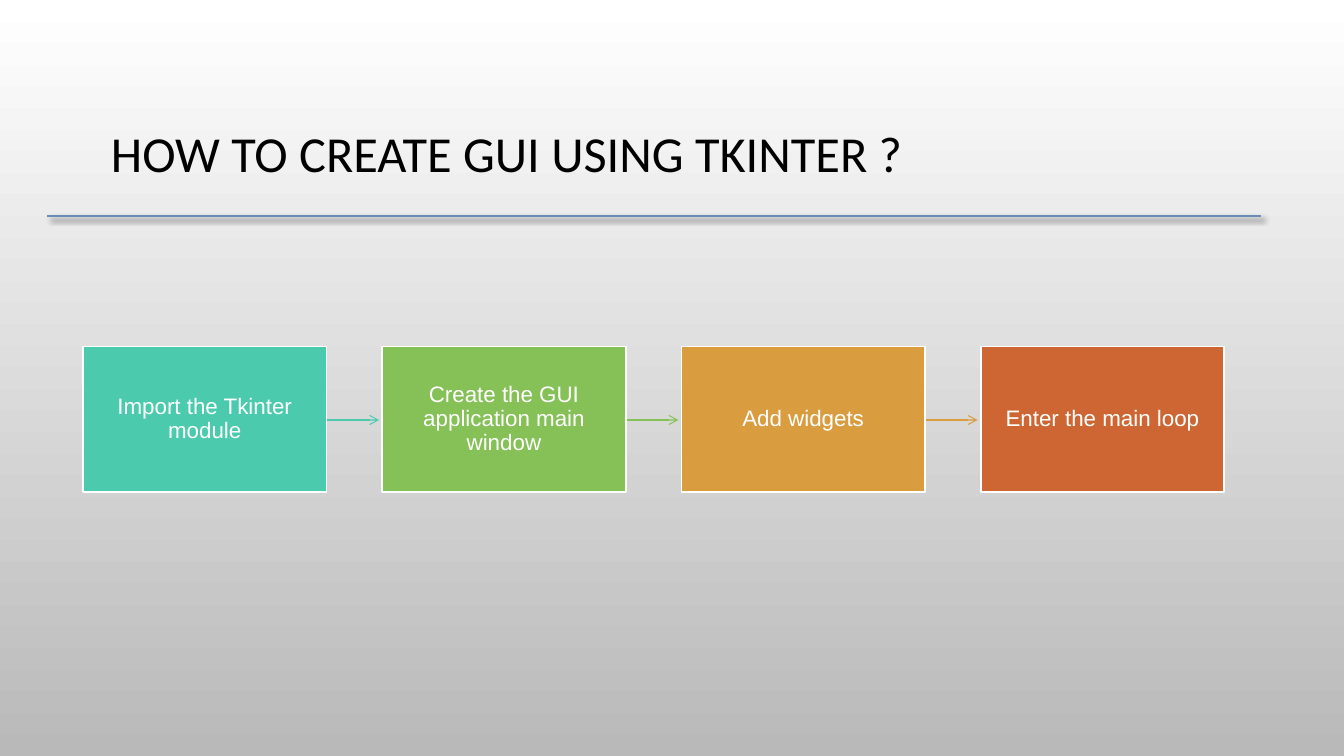
"""Build the slide that shows the four steps of a Tkinter GUI."""
import dataclasses

import lxml.etree
import pptx
import pptx.dml.color
import pptx.enum.shapes
import pptx.enum.text
import pptx.oxml.ns
import pptx.shapes.connector
import pptx.slide
import pptx.text.text
import pptx.util

SCALE = 9525
LEFT, TOP, WIDE, HIGH = 79, 330, 232, 139
PITCH = 285
REACH = 50
PAD = 12
WHITE = "FFFFFF"
BLACK = "000000"


@dataclasses.dataclass(frozen=True)
class Step:
    text: str
    hue: str


STEPS = [
    Step("Import the Tkinter module", "4BCAAD"),
    Step("Create the GUI application main window", "86C157"),
    Step("Add widgets", "D99C3F"),
    Step("Enter the main loop", "CE6633"),
]


def px(count: int) -> pptx.util.Emu:
    return pptx.util.Emu(count * SCALE)


def paint(code: str) -> pptx.dml.color.RGBColor:
    return pptx.dml.color.RGBColor.from_string(code)


def add_tag(host: lxml.etree._Element, name: str, **traits: str) -> lxml.etree._Element:
    return lxml.etree.SubElement(host, pptx.oxml.ns.qn(name), traits)


def add_shade(host: lxml.etree._Element) -> None:
    shade = add_tag(add_tag(host, "a:effectLst"), "a:outerShdw",
                    blurRad="50800", dist="38100", dir="2700000",
                    algn="tl", rotWithShape="0")
    tint = add_tag(shade, "a:srgbClr", val=BLACK)
    add_tag(tint, "a:alpha", val="40000")


def write(frame: pptx.text.text.TextFrame, text: str, face: str, size: int,
          hue: str, align: pptx.enum.text.PP_ALIGN) -> pptx.text.text._Run:
    frame.word_wrap = True
    frame.auto_size = pptx.enum.text.MSO_AUTO_SIZE.NONE
    frame.vertical_anchor = pptx.enum.text.MSO_ANCHOR.MIDDLE
    line = frame.paragraphs[0]
    line.alignment = align
    line.line_spacing = 0.9
    run = line.add_run()
    run.text = text
    run.font.name = face
    run.font.size = pptx.util.Pt(size)
    run.font.color.rgb = paint(hue)
    return run


def add_line(slide: pptx.slide.Slide, left: int, right: int, y: int,
             hue: str, width: float) -> pptx.shapes.connector.Connector:
    line = slide.shapes.add_connector(
        pptx.enum.shapes.MSO_CONNECTOR.STRAIGHT, px(left), px(y), px(right), px(y))
    line.line.color.rgb = paint(hue)
    line.line.width = pptx.util.Pt(width)
    return line


def add_arrow(slide: pptx.slide.Slide, left: int, hue: str) -> None:
    arrow = add_line(slide, left, left + REACH, TOP + HIGH // 2 + 1, hue, 0.75)
    add_tag(arrow.line._get_or_add_ln(), "a:tailEnd", type="arrow")
    add_tag(arrow._element.spPr, "a:effectLst")


def add_box(slide: pptx.slide.Slide, left: int, step: Step) -> None:
    box = slide.shapes.add_shape(
        pptx.enum.shapes.MSO_SHAPE.RECTANGLE, px(left), px(TOP), px(WIDE), px(HIGH))
    box.shadow.inherit = False
    box.fill.solid()
    box.fill.fore_color.rgb = paint(step.hue)
    box.line.color.rgb = paint(WHITE)
    box.line.width = pptx.util.Pt(1.25)
    frame = box.text_frame
    frame.margin_left = frame.margin_right = px(PAD)
    frame.margin_top = frame.margin_bottom = px(PAD)
    write(frame, step.text, "Arial", 16, WHITE, pptx.enum.text.PP_ALIGN.CENTER)


def add_title(slide: pptx.slide.Slide) -> None:
    title = slide.shapes.title
    title.left, title.top = px(96), px(65)
    title.width, title.height = px(1088), px(168)
    run = write(title.text_frame, "HOW TO CREATE GUI USING TKINTER ?",
                "Calibri", 36, BLACK, pptx.enum.text.PP_ALIGN.LEFT)
    latin = run.font._element.find(pptx.oxml.ns.qn("a:latin"))
    add_shade(run.font._element)
    run.font._element.append(latin)


def fill_back(slide: pptx.slide.Slide) -> None:
    fill = slide.background.fill
    fill.gradient()
    fill.gradient_angle = 270
    for stop, hue in zip(fill.gradient_stops, (WHITE, "B9B9B9")):
        stop.color.rgb = paint(hue)


def main() -> None:
    deck = pptx.Presentation()
    deck.slide_width, deck.slide_height = px(1280), px(720)
    slide = deck.slides.add_slide(deck.slide_layouts[5])
    fill_back(slide)
    add_title(slide)
    for rank, step in enumerate(STEPS):
        left = LEFT + rank * PITCH
        if step is not STEPS[-1]:
            add_arrow(slide, left + WIDE, step.hue)
        add_box(slide, left, step)
    rule = add_line(slide, 45, 1201, 206, "698CB8", 1.5)
    add_shade(rule._element.spPr)
    deck.save("out.pptx")


if __name__ == "__main__":
    main()
